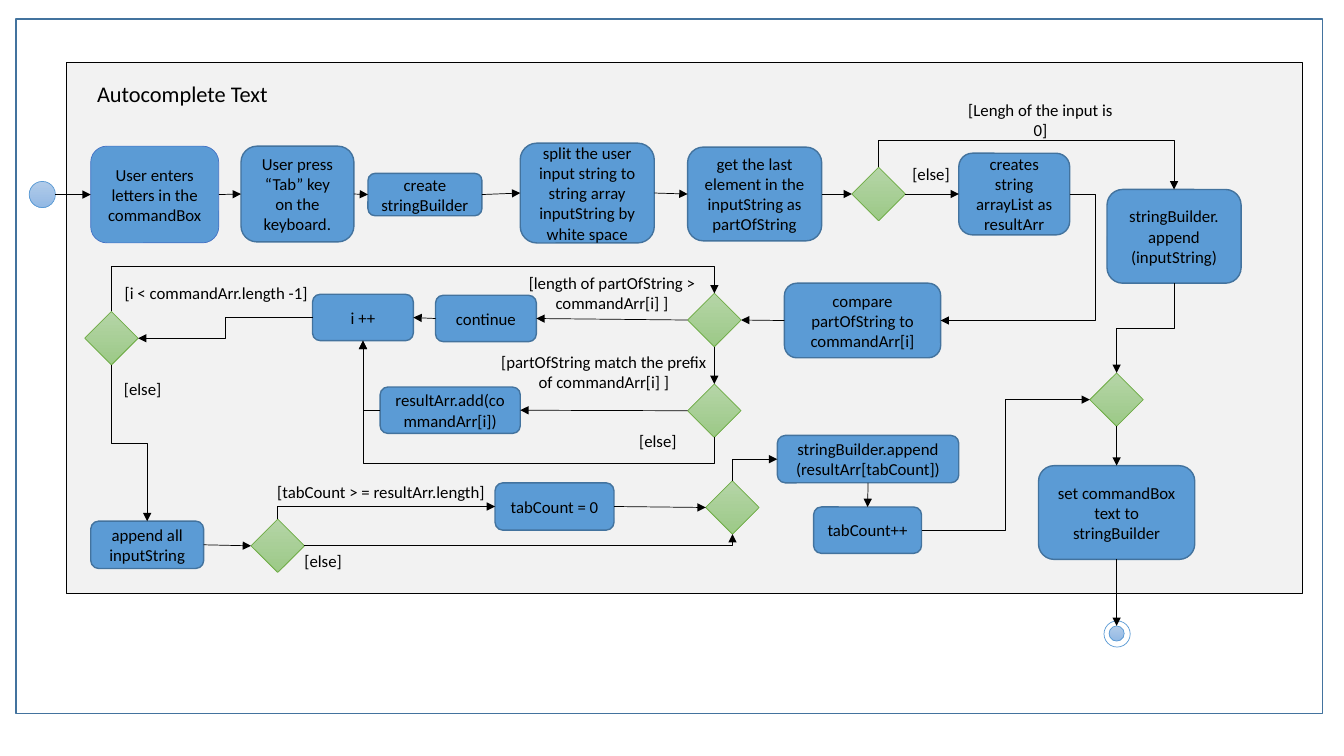
import pptx
import pptx.util
from pptx.dml.color import RGBColor
from pptx.enum.shapes import MSO_CONNECTOR, MSO_SHAPE
from pptx.enum.text import MSO_ANCHOR, PP_ALIGN
from pptx.oxml.ns import qn
from pptx.util import Inches, Pt
from lxml import etree

BLACK = RGBColor(0x00, 0x00, 0x00)
WHITE = RGBColor(0xFF, 0xFF, 0xFF)
GREY = RGBColor(0xF2, 0xF2, 0xF2)
BLUE = RGBColor(0x5B, 0x9B, 0xD5)
EDGE = RGBColor(0x43, 0x73, 0x9E)
ROYAL = RGBColor(0x44, 0x72, 0xC4)
GREEN = RGBColor(0x70, 0xAD, 0x47)
SKY = (RGBColor(0xB1, 0xCB, 0xE9), RGBColor(0x93, 0xB9, 0xE4))
LEAF = (RGBColor(0xB5, 0xD5, 0xA7), RGBColor(0x9C, 0xC9, 0x87))

TOP, LEFT, BOTTOM, RIGHT = range(4)
TURN = {TOP: 270, LEFT: 180, BOTTOM: 90, RIGHT: 0}
GEM = 0.53

# name: (left, top, width, height, text)
STEPS = {
    "enter": (0.9, 1.45, 1.27, 0.96, "User enters letters in the commandBox"),
    "press": (2.39, 1.45, 1.12, 0.95, "User press “Tab” key on the keyboard."),
    "create": (3.65, 1.72, 1.13, 0.42, "create stringBuilder"),
    "split": (5.16, 1.42, 1.33, 0.99,
              "split the user input string to string array inputString by white space"),
    "last": (6.82, 1.46, 1.33, 0.93,
             "get the last element in the inputString as partOfString"),
    "list": (9.51, 1.52, 1.1, 0.81, "creates string arrayList as resultArr"),
    "input": (10.98, 1.88, 1.33, 0.93, "stringBuilder.\nappend\n(inputString)"),
    "compare": (7.78, 2.81, 1.55, 0.74, "compare partOfString to commandArr[i]"),
    "continue": (4.32, 2.93, 1, 0.46, "continue"),
    "next": (3.1, 2.92, 1, 0.46, "i ++"),
    "add": (3.77, 3.84, 1.39, 0.46, "resultArr.add(commandArr[i])"),
    "all": (0.9, 5.17, 1.12, 0.47, "append all inputString"),
    "zero": (4.91, 4.79, 1.18, 0.47, "tabCount = 0"),
    "result": (7.71, 4.32, 1.8, 0.47, "stringBuilder.append\n(resultArr[tabCount])"),
    "count": (8.07, 5.03, 1.07, 0.46, "tabCount++"),
    "set": (10.3, 4.62, 1.55, 0.93, "set commandBox text to stringBuilder"),
}
GEMS = {
    "empty?": (8.45, 1.66), "length?": (6.82, 2.91), "prefix?": (6.82, 3.81),
    "loop?": (0.84, 3.09), "tab?": (2.49, 5.15), "join": (7, 4.77),
    "merge": (10.81, 3.7),
}
# left, top, width, text
LABELS = [
    (9.43, 0.94, 1.78, "[Lengh of the input is 0]"),
    (8.77, 1.58, 0.93, "[else]"),
    (4.91, 2.66, 2.32, "[length of partOfString > commandArr[i] ]"),
    (4.86, 3.44, 2.26, "[partOfString match the prefix of commandArr[i] ]"),
    (6.22, 4.22, 0.61, "[else]"),
    (1.11, 2.76, 2.07, "[i < commandArr.length -1]"),
    (1.11, 3.71, 0.61, "[else]"),
    (2.65, 4.73, 2.26, "[tabCount > = resultArr.length]"),
    (2.91, 5.41, 0.59, "[else]"),
]
ACROSS = [("enter", "press"), ("press", "create"), ("create", "split"),
          ("split", "last"), ("last", "empty?"), ("empty?", "list"),
          ("all", "tab?"), ("zero", "join")]
BACK = [("compare", "length?"), ("length?", "continue"),
        ("continue", "next"), ("prefix?", "add")]
DOWN = [("length?", "prefix?"), ("result", "count"), ("merge", "set"),
        ("set", "end")]
# from, side, to, side, share of the way at which the middle part lies
# (None: a single corner)
ELBOWS = [
    ("empty?", TOP, "input", TOP, -1.21),
    ("list", RIGHT, "compare", RIGHT, -0.2),
    ("input", BOTTOM, "merge", TOP, 0.5),
    ("loop?", TOP, "length?", TOP, 2.49),
    ("add", LEFT, "next", BOTTOM, None),
    ("prefix?", BOTTOM, "next", BOTTOM, -0.27),
    ("next", LEFT, "loop?", RIGHT, 0.5),
    ("loop?", BOTTOM, "all", TOP, 0.5),
    ("tab?", TOP, "zero", LEFT, None),
    ("tab?", RIGHT, "join", BOTTOM, None),
    ("join", TOP, "result", LEFT, None),
    ("count", RIGHT, "merge", LEFT, 0.5),
]

deck = pptx.Presentation()
deck.slide_width, deck.slide_height = Inches(13.33), Inches(7.5)
slide = deck.slides.add_slide(deck.slide_layouts[6])
shapes = slide.shapes
nodes = {}


def draw(kind, box, fill, edge, weight):
    """Add a preset shape; a pair of fill colours gives a vertical gradient."""
    shape = shapes.add_shape(kind, *map(Inches, box))
    shape.shadow.inherit = False
    if isinstance(fill, RGBColor):
        shape.fill.solid()
        shape.fill.fore_color.rgb = fill
    else:
        shape.fill.gradient()
        shape.fill.gradient_angle = 270
        for stop, hue in zip(shape.fill.gradient_stops, fill):
            stop.color.rgb = hue
    shape.line.color.rgb = edge
    shape.line.width = Pt(weight)
    return shape


def write(shape, text, size=12, wrap=True):
    frame = shape.text_frame
    frame.word_wrap = wrap
    frame.text = text
    for para in frame.paragraphs:
        para.alignment = PP_ALIGN.CENTER
        for run in para.runs:
            run.font.name = "Calibri"
            run.font.size = Pt(size)
            run.font.color.rgb = BLACK


def label(left, top, width, height, text, **style):
    box = shapes.add_textbox(*map(Inches, (left, top, width, height)))
    write(box, text, **style)


def site(name, side):
    """Middle of one side of a node."""
    node = nodes[name]
    x = {LEFT: 0, RIGHT: node.width}.get(side, node.width // 2)
    y = {TOP: 0, BOTTOM: node.height}.get(side, node.height // 2)
    return node.left + x, node.top + y


def arrow(kind, start, end):
    link = shapes.add_connector(kind, *start, *end)
    link.line.color.rgb = BLACK
    link.line.width = Pt(0.5)
    props = link._element.spPr
    etree.SubElement(props.find(qn("a:ln")), qn("a:tailEnd"), type="triangle")
    etree.SubElement(props, qn("a:effectLst"))
    return link


def join(kind, here, out, there, into):
    link = arrow(kind, site(here, out), site(there, into))
    link.begin_connect(nodes[here], out)
    link.end_connect(nodes[there], into)
    return link


def bend(here, out, there, into, share):
    """Join two nodes by an elbow that leaves square to its first side."""
    link = join(MSO_CONNECTOR.ELBOW, here, out, there, into)
    (x1, y1), (x2, y2) = site(here, out), site(there, into)
    dx, dy = x2 - x1, y2 - y1
    along, aside = {TOP: (-dy, dx), LEFT: (-dx, -dy),
                    BOTTOM: (dy, -dx), RIGHT: (dx, dy)}[out]
    link.width, link.height = abs(along), abs(aside)
    link.left = (x1 + x2 - link.width) // 2
    link.top = (y1 + y2 - link.height) // 2
    props = link._element.spPr
    frame = props.find(qn("a:xfrm"))
    frame.set("rot", str(TURN[out] * 60000))
    frame.set("flipH", str(int(along < 0)))
    frame.set("flipV", str(int(aside < 0)))
    geom = props.find(qn("a:prstGeom"))
    if share is None:
        geom.set("prst", "bentConnector2")
    else:
        etree.SubElement(geom.find(qn("a:avLst")), qn("a:gd"),
                         name="adj1", fmla=f"val {round(share * 100000)}")


draw(MSO_SHAPE.RECTANGLE, (0.16, 0.19, 12.96, 6.89), WHITE, EDGE, 1)
draw(MSO_SHAPE.RECTANGLE, (0.66, 0.62, 12.26, 5.27), GREY, BLACK, 1)
label(0.86, 0.75, 1.9, 0.37, "Autocomplete Text", size=16, wrap=False)

draw(MSO_SHAPE.OVAL, (0.29, 1.8, 0.26, 0.26), SKY, BLUE, 0.5)
draw(MSO_SHAPE.OVAL, (10.95, 6.16, 0.26, 0.26), WHITE, BLUE, 0.5)
nodes["end"] = draw(MSO_SHAPE.OVAL, (11, 6.21, 0.15, 0.15), SKY, BLUE, 0.5)
for name, (*box, text) in STEPS.items():
    first = name == "enter"
    nodes[name] = draw(MSO_SHAPE.ROUNDED_RECTANGLE, box, BLUE,
                       ROYAL if first else EDGE, 0.5 if first else 1)
    nodes[name].text_frame.vertical_anchor = MSO_ANCHOR.MIDDLE
    write(nodes[name], text)
for name, spot in GEMS.items():
    nodes[name] = draw(MSO_SHAPE.DIAMOND, (*spot, GEM, GEM), LEAF, GREEN, 0.5)

for left, top, width, text in LABELS:
    label(left, top, width, 0.3, text)

begin = arrow(MSO_CONNECTOR.STRAIGHT, (Inches(0.55), Inches(1.93)),
              site("enter", LEFT))
begin.end_connect(nodes["enter"], LEFT)
for pairs, out, into in ((ACROSS, RIGHT, LEFT), (BACK, LEFT, RIGHT),
                         (DOWN, BOTTOM, TOP)):
    for here, there in pairs:
        join(MSO_CONNECTOR.STRAIGHT, here, out, there, into)
for elbow in ELBOWS:
    bend(*elbow)

deck.save("out.pptx")
